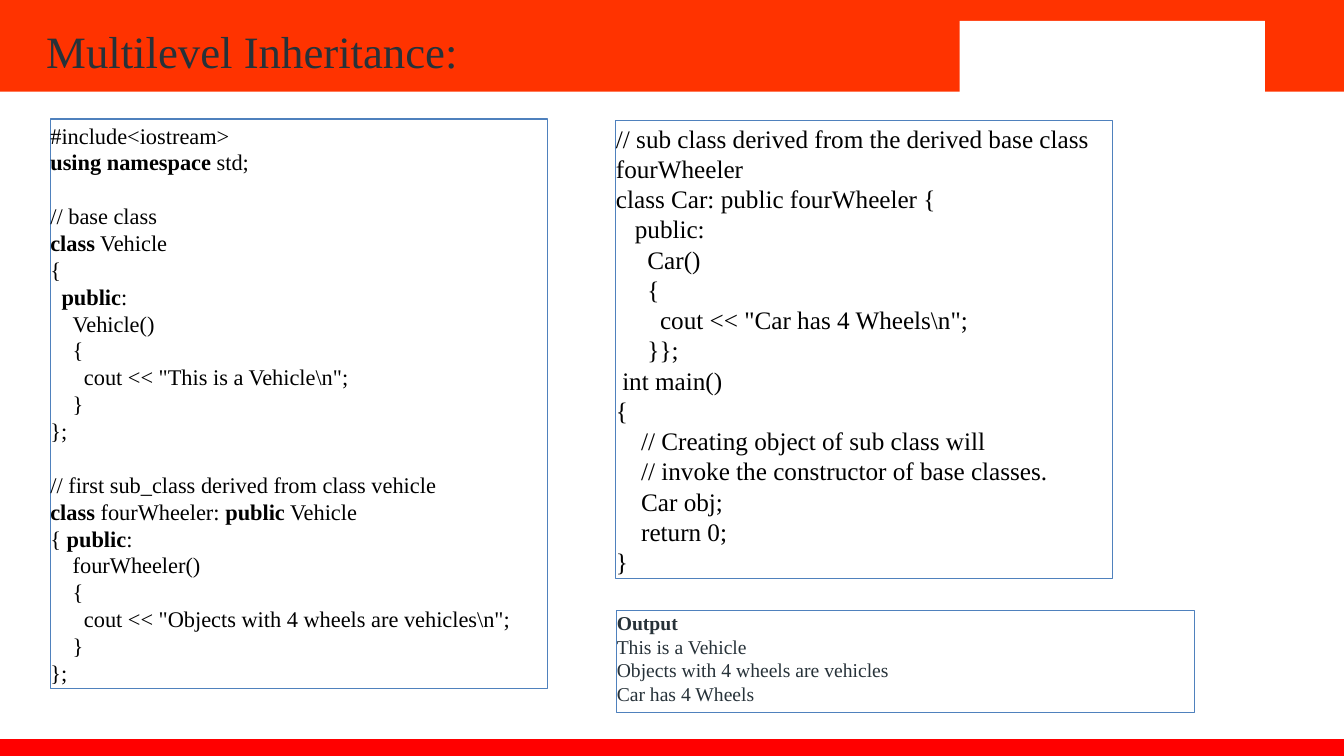
import pptx
import pptx.util
import pptx.dml.color
import pptx.enum.shapes
import pptx.enum.text

Pt = pptx.util.Pt
ANCHOR = pptx.enum.text.MSO_ANCHOR
ALIGN = pptx.enum.text.PP_ALIGN

BASE_CODE = r'''#include<iostream>
**using namespace** std;

// base class
**class** Vehicle
{
  **public**:
    Vehicle()
    {
      cout << "This is a Vehicle\n";
    }
};

// first sub_class derived from class vehicle
**class** fourWheeler: **public** Vehicle
{ **public**:
    fourWheeler()
    {
      cout << "Objects with 4 wheels are vehicles\n";
    }
};'''

CAR_CODE = r'''// sub class derived from the derived base class fourWheeler
class Car: public fourWheeler {
   public:
     Car()
     {
       cout << "Car has 4 Wheels\n";
     }};
 int main()
{
    // Creating object of sub class will
    // invoke the constructor of base classes.
    Car obj;
    return 0;
}'''

OUTPUT = '''**Output**
This is a Vehicle
Objects with 4 wheels are vehicles
Car has 4 Wheels'''


def rgb(value):
    return pptx.dml.color.RGBColor.from_string(value)


def apply(target, values):
    for name, value in values.items():
        setattr(target, name, value)


class Deck:
    font = "Times New Roman"
    border = "4F81BD"
    dark = "273239"

    def __init__(self, prs):
        self.s = prs.slides.add_slide(prs.slide_layouts[5])

    def place(self, sp, box):
        names = ("left", "top", "width", "height")
        apply(sp, {n: Pt(v) for n, v in zip(names, box)})

    def frame(self, tf, left=0, bottom=0):
        apply(tf, dict(margin_left=Pt(left), margin_right=0, margin_top=0,
                       margin_bottom=Pt(bottom), word_wrap=True,
                       vertical_anchor=ANCHOR.MIDDLE,
                       auto_size=pptx.enum.text.MSO_AUTO_SIZE.NONE))

    def run(self, p, text, size, color, bold=False):
        r = p.add_run()
        r.text = text
        apply(r.font, dict(name=self.font, size=Pt(size), bold=bold))
        r.font.color.rgb = rgb(color)

    def rect(self, box, fill, line=None):
        sp = self.s.shapes.add_shape(
            pptx.enum.shapes.MSO_SHAPE.RECTANGLE, *map(Pt, box))
        sp.shadow.inherit = False
        sp.fill.solid()
        sp.fill.fore_color.rgb = rgb(fill)
        if line:
            sp.line.color.rgb = rgb(line)
            sp.line.width = Pt(0.75)
        else:
            sp.line.fill.background()
        return sp

    def title(self, text, box):
        sp = self.s.shapes.title
        sp._element.getparent().append(sp._element)
        self.place(sp, box)
        self.frame(sp.text_frame, left=15)
        p = sp.text_frame.paragraphs[0]
        p.alignment = ALIGN.LEFT
        self.run(p, text, 32, self.dark)

    def listing(self, text, box, size, color="000000", bottom=0):
        tf = self.rect(box, "FFFFFF", self.border).text_frame
        self.frame(tf, bottom=bottom)
        pitch = size * 1.2
        p, gap = tf.paragraphs[0], 0
        for i, line in enumerate(text.split("\n")):
            if not line:
                gap += pitch
                continue
            if i:
                p = tf.add_paragraph()
            code = line.lstrip()
            apply(p, dict(alignment=ALIGN.LEFT, line_spacing=Pt(pitch),
                          space_before=Pt(gap)))
            indent = Pt((len(line) - len(code)) * size / 4)
            p._p.get_or_add_pPr().set("marL", str(indent))
            for j, part in enumerate(code.split("**")):
                if part:
                    self.run(p, part, size, color, bold=j % 2 == 1)
            gap = 0


def main():
    prs = pptx.Presentation()
    apply(prs, dict(slide_width=Pt(960), slide_height=Pt(540)))
    deck = Deck(prs)
    deck.rect((0, 0, 960, 65.5), "FF3300")
    deck.rect((0, 528, 960, 12), "FF0000")
    deck.rect((685.5, 15, 218, 54), "FFFFFF")
    deck.title("Multilevel Inheritance:", (18, 13, 573, 46))
    deck.listing(BASE_CODE, (36, 85, 355, 406.8), 16)
    deck.listing(OUTPUT, (440.6, 436.3, 412.6, 72.7), 14, deck.dark, 5)
    deck.listing(CAR_CODE, (440, 86.4, 355, 326.9), 18)
    prs.save("out.pptx")


if __name__ == "__main__":
    main()
